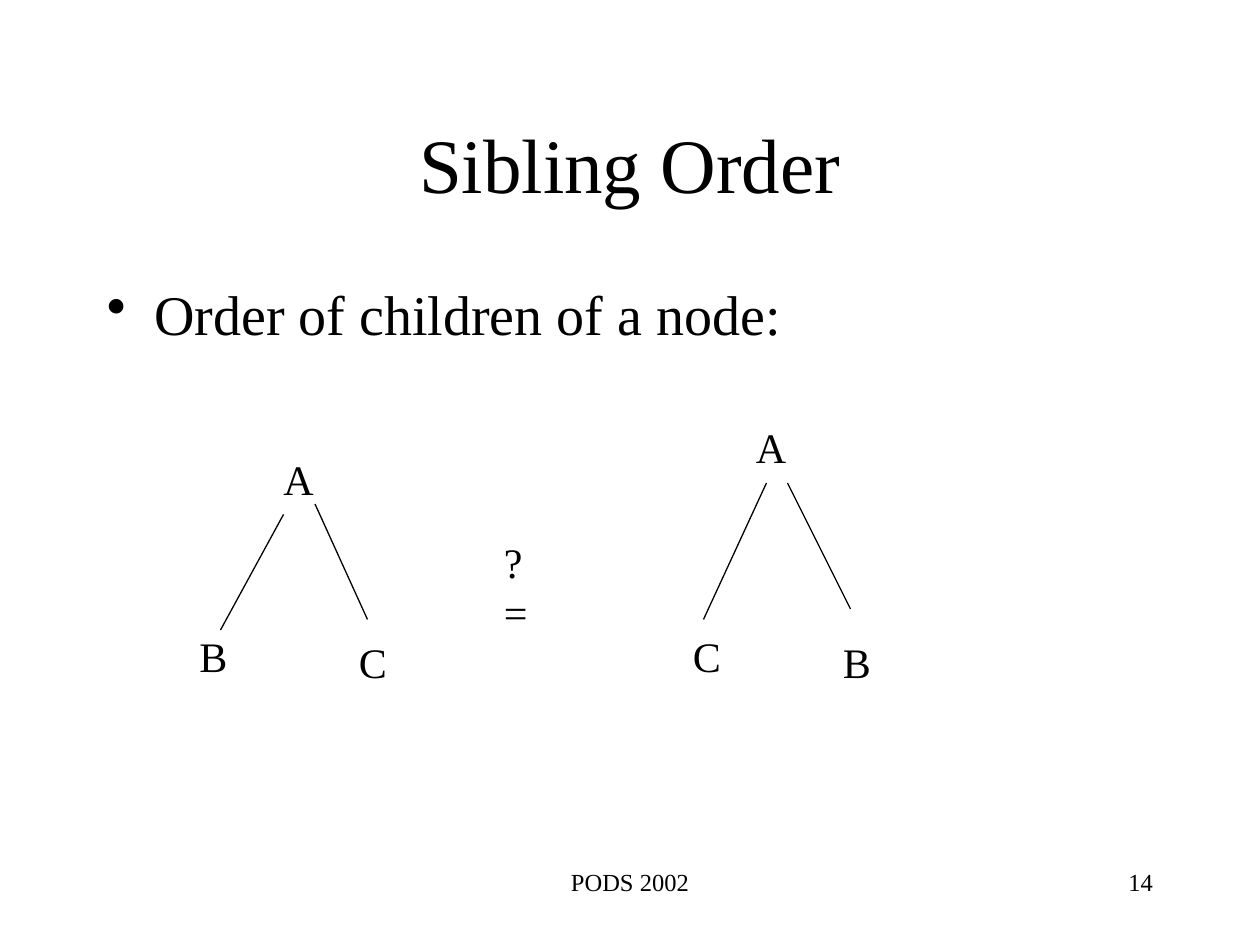
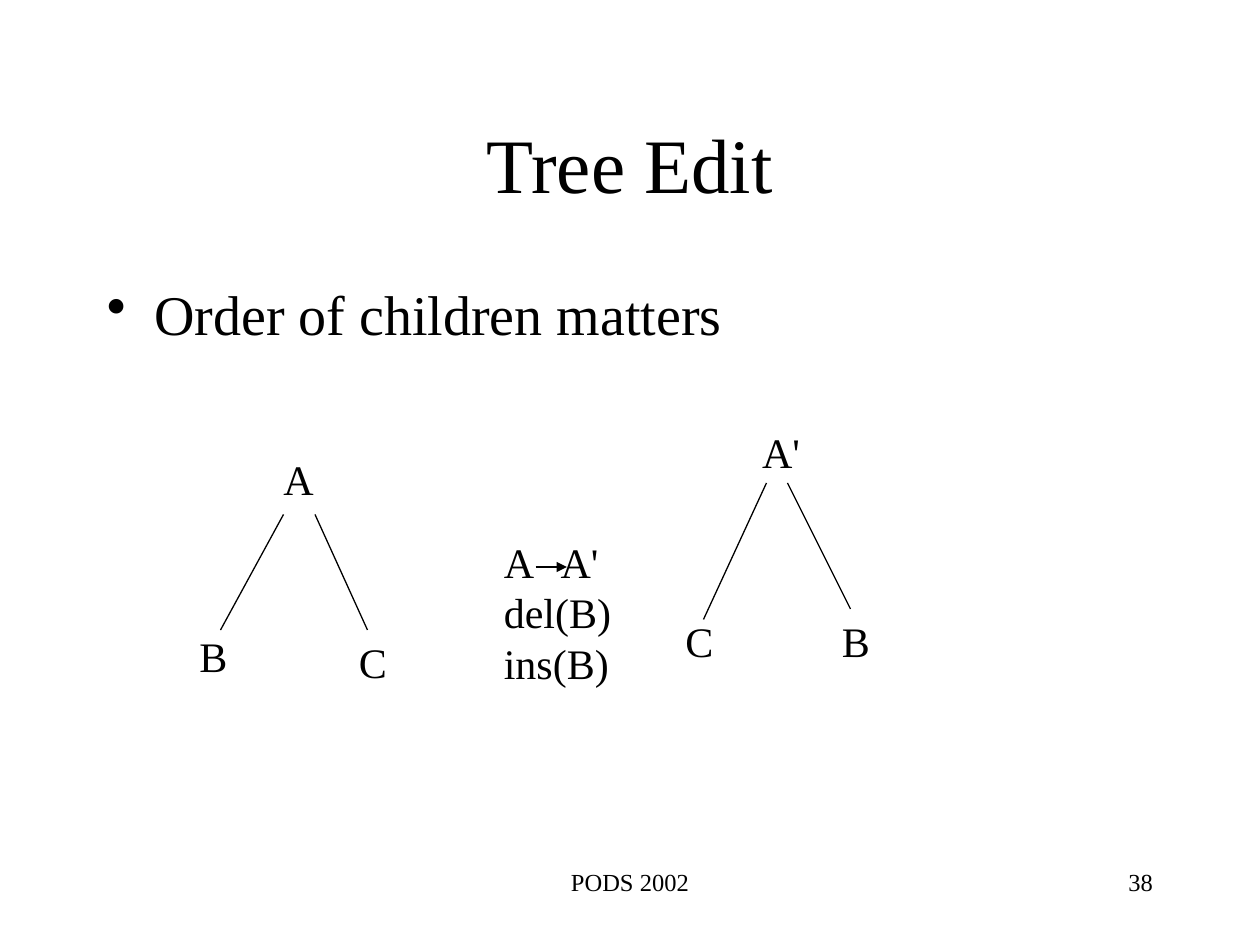
from lxml import etree
from pptx import Presentation
from pptx import util as u
from pptx.dml.color import RGBColor
from pptx.enum import shapes, text
from pptx.oxml import ns

PX = u.Inches(1) // 120
BLACK = RGBColor(0, 0, 0)
FONT = "Times New Roman"
FOOTER = "PODS 2002"
LEFT, CENTER, RIGHT = text.PP_ALIGN.LEFT, text.PP_ALIGN.CENTER, text.PP_ALIGN.RIGHT

NODE_HEIGHT = 60
RIGHT_EDGES = [((730, 460), (670, 590)), ((750, 460), (810, 580))]
LEFT_NODES = [("A", 258, 426, 53), ("B", 178, 595, 50), ("C", 330, 600, 50)]
LEFT_EDGE = ((270, 490), (210, 600))
MIDDLE = (468, 505)
LINE_HEIGHT, PADDING = 48, 12
SECOND_LABEL_TAB = 54

# Nodes are (label, left, top, width); edges are (start, end).
SLIDES = [
    dict(
        title="Sibling Order",
        point="Order of children of a node:",
        number="14",
        nodes=LEFT_NODES + [("A", 708, 396, 53), ("C", 648, 595, 50), ("B", 791, 600, 50)],
        edges=[LEFT_EDGE, ((300, 480), (350, 590))] + RIGHT_EDGES,
        middle=["?", "="],
        middle_width=47,
        arrows=[],
    ),
    dict(
        title="Tree Edit",
        point="Order of children matters",
        number="38",
        nodes=LEFT_NODES + [("A'", 714, 400, 60), ("C", 641, 580, 50), ("B", 790, 580, 50)],
        edges=[LEFT_EDGE, ((300, 490), (350, 600))] + RIGHT_EDGES,
        middle=["A\tA'", "del(B)", "ins(B)"],
        middle_width=126,
        arrows=[((510, 540), (540, 540))],
    ),
]


def add_text(slide, lines, box, size, align=LEFT, wrap=True):
    frame = slide.shapes.add_textbox(*(v * PX for v in box)).text_frame
    frame.word_wrap = wrap
    frame.auto_size = text.MSO_AUTO_SIZE.NONE if wrap else text.MSO_AUTO_SIZE.SHAPE_TO_FIT_TEXT
    frame.text = "\n".join(lines)
    for paragraph in frame.paragraphs:
        paragraph.alignment = align
        for run in paragraph.runs:
            run.font.name = FONT
            run.font.size = u.Pt(size)
            run.font.color.rgb = BLACK
    return frame


def add_bullet(paragraph, indent):
    paragraph.space_before = u.Pt(8)
    properties = paragraph._p.get_or_add_pPr()
    properties.set("marL", str(indent * PX))
    properties.set("indent", str(-indent * PX))
    etree.SubElement(properties, ns.qn("a:buChar")).set("char", "•")


def add_tab_stop(paragraph, position):
    stops = etree.SubElement(paragraph._p.get_or_add_pPr(), ns.qn("a:tabLst"))
    etree.SubElement(stops, ns.qn("a:tab"), pos=str(position * PX), algn="l")


def add_line(slide, start, end, arrow=False):
    line = slide.shapes.add_connector(
        shapes.MSO_CONNECTOR.STRAIGHT, *(v * PX for v in start + end))
    line.line.color.rgb = BLACK
    line.line.width = u.Pt(0.75)
    if arrow:
        etree.SubElement(line.line._get_or_add_ln(), ns.qn("a:tailEnd"), type="triangle")
    etree.SubElement(line._element.spPr, ns.qn("a:effectLst"))


def add_frame(slide, title, point, number):
    """Add the title, bullet point and footer that every slide has."""
    heading = add_text(slide, [title], (90, 80, 1020, 150), 44, CENTER)
    heading.vertical_anchor = text.MSO_ANCHOR.MIDDLE
    body = add_text(slide, [point], (90, 260, 1020, 540), 32)
    add_bullet(body.paragraphs[0], 45)
    add_text(slide, [FOOTER], (410, 820, 380, 60), 14, CENTER)
    add_text(slide, [number], (860, 820, 250, 60), 14, RIGHT)


def add_trees(slide, content):
    for start, end in content["edges"]:
        add_line(slide, start, end)
    for label, left, top, width in content["nodes"]:
        add_text(slide, [label], (left, top, width, NODE_HEIGHT), 24, wrap=False)
    lines = content["middle"]
    box = (*MIDDLE, content["middle_width"], PADDING + LINE_HEIGHT * len(lines))
    middle = add_text(slide, lines, box, 24, wrap=False)
    for paragraph in middle.paragraphs:
        if "\t" in paragraph.text:
            add_tab_stop(paragraph, SECOND_LABEL_TAB)
    for start, end in content["arrows"]:
        add_line(slide, start, end, arrow=True)


def main():
    deck = Presentation()
    deck.slide_width, deck.slide_height = 1200 * PX, 900 * PX
    for content in SLIDES:
        slide = deck.slides.add_slide(deck.slide_layouts[6])
        add_frame(slide, content["title"], content["point"], content["number"])
        add_trees(slide, content)
    deck.save("out.pptx")


if __name__ == "__main__":
    main()
